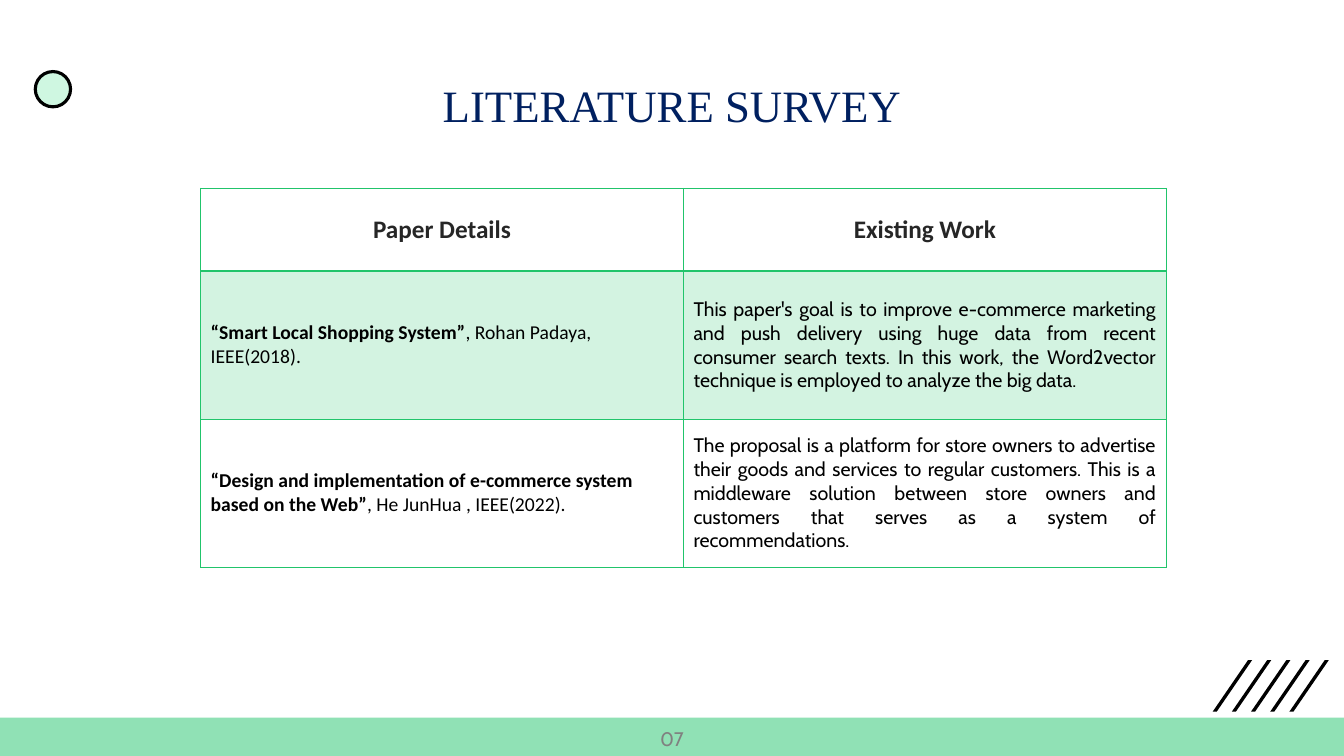
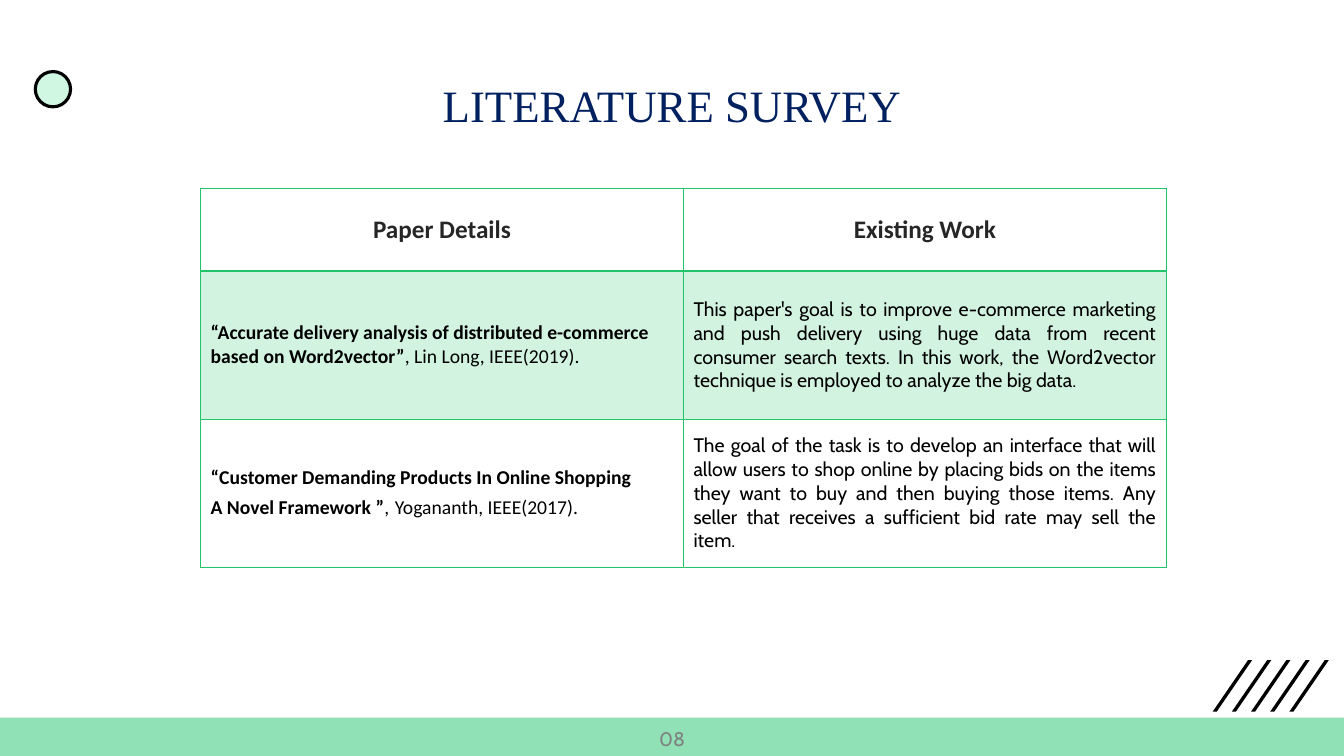
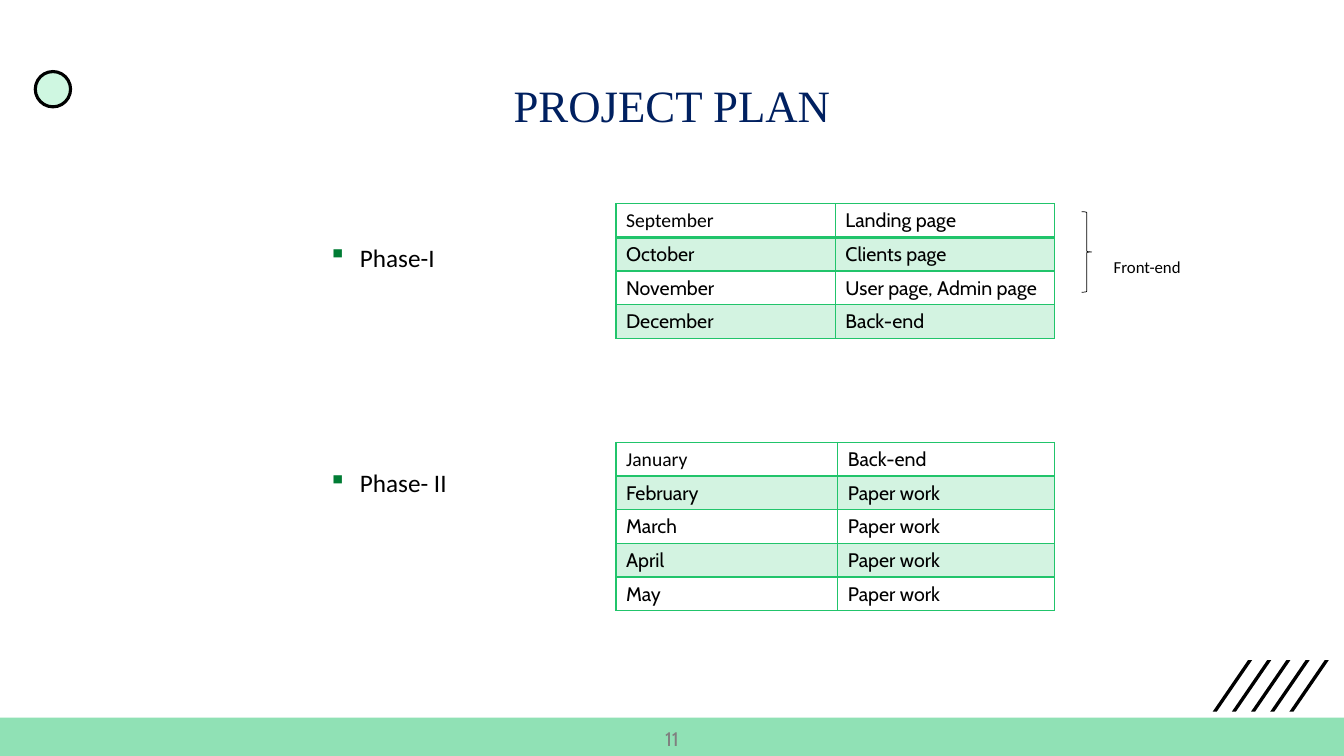
"""Build two literature survey slides and a project plan slide."""
from lxml import etree
from pptx import Presentation
from pptx.dml.color import RGBColor
from pptx.enum.shapes import MSO_SHAPE
from pptx.enum.text import MSO_ANCHOR, MSO_AUTO_SIZE, PP_ALIGN
from pptx.oxml.ns import qn
from pptx.util import Pt

LEFT, CENTER, JUSTIFY = PP_ALIGN.LEFT, PP_ALIGN.CENTER, PP_ALIGN.JUSTIFY
MIDDLE, TOP = MSO_ANCHOR.MIDDLE, MSO_ANCHOR.TOP
OVAL, RECT, BRACE = MSO_SHAPE.OVAL, MSO_SHAPE.RECTANGLE, MSO_SHAPE.RIGHT_BRACE
NO_FIT = MSO_AUTO_SIZE.NONE

WIDTH, HEIGHT = 960, 540
GREEN, BAND, TINT, MINT, BULLET = "21C46B", "90E1B5", "D3F3E1", "CFF7E1", "007C34"
BLACK = "000000"

TITLE = {"name": "Times New Roman", "size": Pt(32), "bold": False, "color": "002060"}
PAGE = {"name": "Cabin", "size": Pt(14), "color": "808080"}
HEAD = {"name": "Calibri", "size": Pt(18), "bold": True, "color": "262626"}
CITE = {"name": "Calibri", "size": Pt(14), "bold": False, "color": BLACK}
PAPER = {**CITE, "bold": True}
BODY = {**CITE, "name": "Cabin"}
GAP = {**BODY, "size": Pt(18)}
PHASE = {**CITE, "size": Pt(18)}
LABEL = {**CITE, "size": Pt(12)}

WORD2VECTOR = (
    "This paper's goal is to improve e-commerce marketing and push delivery using huge "
    "data from recent consumer search texts. In this work, the Word2vector technique is "
    "employed to analyze the big data."
)
PLATFORM = (
    "The proposal is a platform for store owners to advertise their goods and services to "
    "regular customers. This is a middleware solution between store owners and customers "
    "that serves as a system of recommendations."
)
BIDDING = (
    "The goal of the task is to develop an interface that will allow users to shop online "
    "by placing bids on the items they want to buy and then buying those items. Any seller "
    "that receives a sufficient bid rate may sell the item."
)
SURVEYS = [
    [
        ([[("“Smart Local Shopping System”", PAPER),
           (", Rohan Padaya, IEEE(2018).", CITE)]], WORD2VECTOR),
        ([[("“Design and implementation of e-commerce system based on the Web”", PAPER),
           (", He JunHua , IEEE(2022).", CITE)]], PLATFORM),
    ],
    [
        ([[("“Accurate delivery analysis of distributed e-commerce", PAPER)],
          [("based on Word2vector”", PAPER), (", Lin Long, IEEE(2019).", CITE)]], WORD2VECTOR),
        ([[("“Customer Demanding Products In Online Shopping", PAPER)],
          [("A Novel Framework ”", PAPER), (",", CITE), (" ", GAP),
           ("Yogananth, IEEE(2017).", CITE)]], BIDDING),
    ],
]
PLANS = [
    (145.5, (156.7, 156.7), [
        ("September", "Landing page"), ("October", "Clients page"),
        ("November", "User page, Admin page"), ("December", "Back-end")]),
    (316, (158.4, 154.8), [
        ("January", "Back-end"), ("February", "Paper work"), ("March", "Paper work"),
        ("April", "Paper work"), ("May", "Paper work")]),
]


def paint(fill, color):
    """Give a fill one solid colour."""
    fill.solid()
    fill.fore_color.rgb = RGBColor.from_string(color)


def write(tf, paragraphs, align):
    """Write paragraphs of (text, style) runs into a text frame."""
    tf.word_wrap = True
    for i, runs in enumerate(paragraphs):
        p = tf.paragraphs[0] if i == 0 else tf.add_paragraph()
        p.alignment = align
        for text, style in runs:
            r = p.add_run()
            r.text = text
            for key, value in style.items():
                if key == "color":
                    paint(r.font.fill, value)
                else:
                    setattr(r.font, key, value)


prs = Presentation()
prs.slide_width, prs.slide_height = Pt(WIDTH), Pt(HEIGHT)
layout = prs.slide_layouts[5]

slides = []
for number, title in [("07", "LITERATURE SURVEY"), ("08", "LITERATURE SURVEY"),
                      ("11", "PROJECT PLAN")]:
    s = prs.slides.add_slide(layout)
    slides.append(s)

    for i in range(5):
        x = 866.2 + i * 13.7
        outline = [(x, 508.3), (x + 25.2, 471.6), (x + 28.1, 471.6), (x + 2.9, 508.3)]
        points = [(Pt(px), Pt(py)) for px, py in outline]
        builder = s.shapes.build_freeform(*points[0])
        builder.add_line_segments(points[1:], close=True)
        sp = builder.convert_to_shape()
        sp.shadow.inherit = False
        paint(sp.fill, BLACK)
        sp.line.fill.background()

    for kind, box, color, width in [(OVAL, (25.2, 51.1, 25.2, 25.2), MINT, 2.25),
                                    (RECT, (0, 512.6, WIDTH, 27.4), BAND, 0)]:
        sp = s.shapes.add_shape(kind, *map(Pt, box))
        sp.shadow.inherit = False
        paint(sp.fill, color)
        if width:
            paint(sp.line.fill, BLACK)
            sp.line.width = Pt(width)
        else:
            sp.line.fill.background()

    sp = s.shapes.add_textbox(Pt(0), Pt(515.5), Pt(WIDTH), Pt(24.5))
    write(sp.text_frame, [[(number, PAGE)]], CENTER)

    sp = s.shapes.title
    sp.left, sp.top, sp.width, sp.height = Pt(0), Pt(51.8), Pt(WIDTH), Pt(46)
    sp.text_frame.auto_size = NO_FIT
    write(sp.text_frame, [[(title, TITLE)]], CENTER)

tables = []
for s, papers in zip(slides, SURVEYS):
    rows = [[([[(text, HEAD)]], CENTER) for text in ("Paper Details", "Existing Work")]]
    for paper, summary in papers:
        rows.append([(paper, LEFT), ([[(summary, BODY)]], JUSTIFY)])
    tables.append((s, 143.3, 134.6, (344.9, 344.9), (59, 105.8, 105.8), MIDDLE, rows))

plan = slides[2]
for top, widths, months in PLANS:
    rows = [[([[(text, CITE if (i, j) == (0, 0) else BODY)]], LEFT)
             for j, text in enumerate(month)] for i, month in enumerate(months)]
    tables.append((plan, 440, top, widths, [24] * len(rows), TOP, rows))

for s, left, top, widths, heights, anchor, rows in tables:
    frame = s.shapes.add_table(len(rows), len(widths), Pt(left), Pt(top),
                               Pt(sum(widths)), Pt(sum(heights)))
    table = frame.table
    table.first_row = table.horz_banding = False
    for column, width in zip(table.columns, widths):
        column.width = Pt(width)
    for row, height in zip(table.rows, heights):
        row.height = Pt(height)
    for i, row in enumerate(rows):
        for j, (paragraphs, align) in enumerate(row):
            cell = table.cell(i, j)
            cell.vertical_anchor = anchor
            write(cell.text_frame, paragraphs, align)
            tcPr = cell._tc.get_or_add_tcPr()
            for side in "LRTB":
                thick = (i, side) in [(0, "B"), (1, "T")]
                ln = etree.SubElement(tcPr, qn(f"a:ln{side}"), w=str(Pt(2 if thick else 1)))
                solid = etree.SubElement(ln, qn("a:solidFill"))
                etree.SubElement(solid, qn("a:srgbClr"), val=GREEN)
            if i % 2:
                paint(cell.fill, TINT)
            else:
                cell.fill.background()

sp = plan.shapes.add_textbox(Pt(227.5), Pt(158.4), Pt(200), Pt(232.6))
write(sp.text_frame, [[("Phase-I", PHASE)], [("Phase- II", PHASE)]], JUSTIFY)
for p in sp.text_frame.paragraphs:
    p.line_spacing = 1.5
    pPr = p._p.get_or_add_pPr()
    pPr.set("marL", str(Pt(22.5)))
    pPr.set("indent", str(Pt(-22.5)))
    color = etree.SubElement(pPr, qn("a:buClr"))
    etree.SubElement(color, qn("a:srgbClr"), val=BULLET)
    etree.SubElement(pPr, qn("a:buChar"), char="▪")
p.space_before = Pt(129)

sp = plan.shapes.add_shape(BRACE, Pt(772.6), Pt(151.2), Pt(7.2), Pt(57.6))
sp.shadow.inherit = False
sp.fill.background()
paint(sp.line.fill, BLACK)
sp.line.width = Pt(0.5)

sp = plan.shapes.add_textbox(Pt(788.4), Pt(180), Pt(108), Pt(21.6))
write(sp.text_frame, [[("Front-end", LABEL)]], LEFT)

prs.save("out.pptx")
